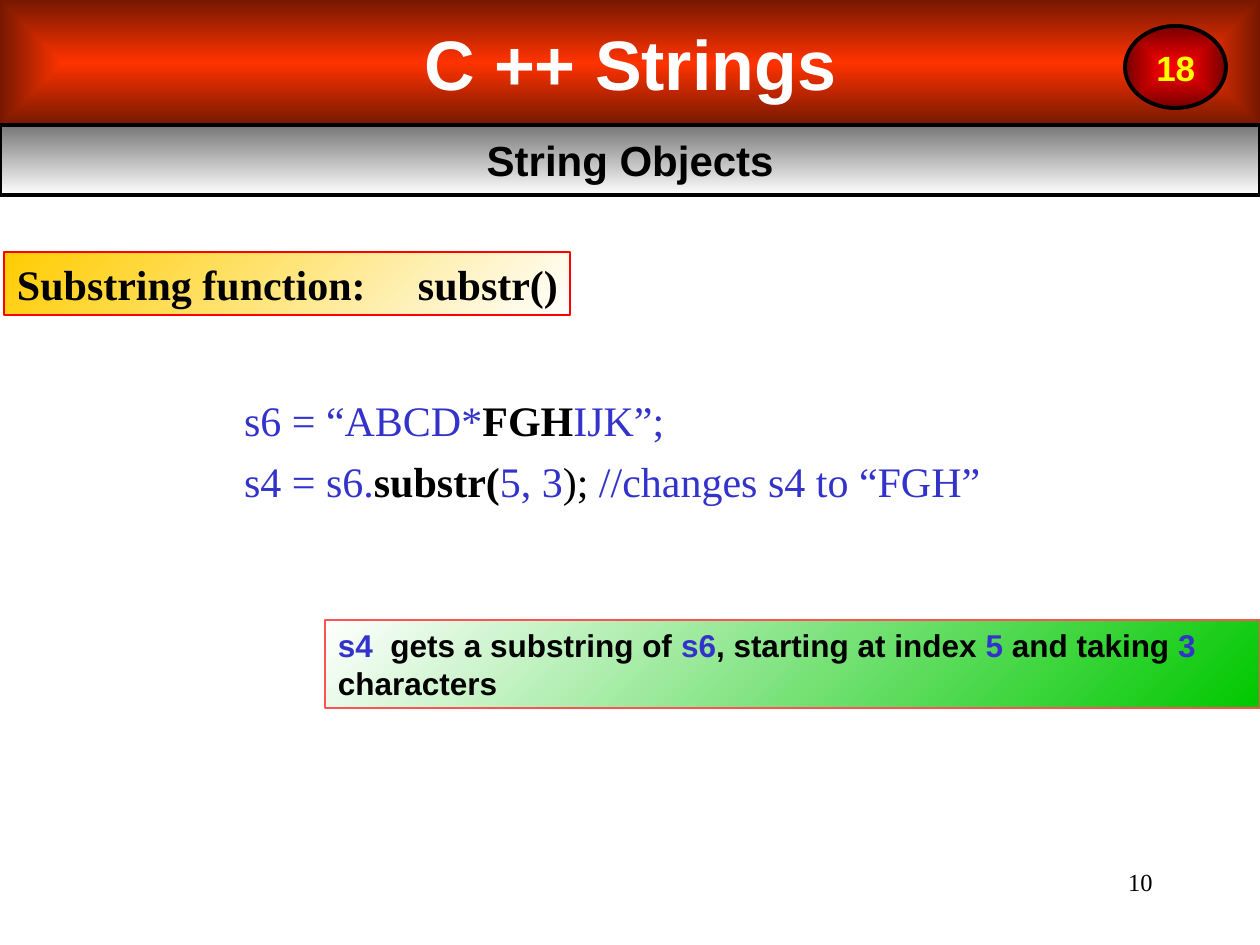
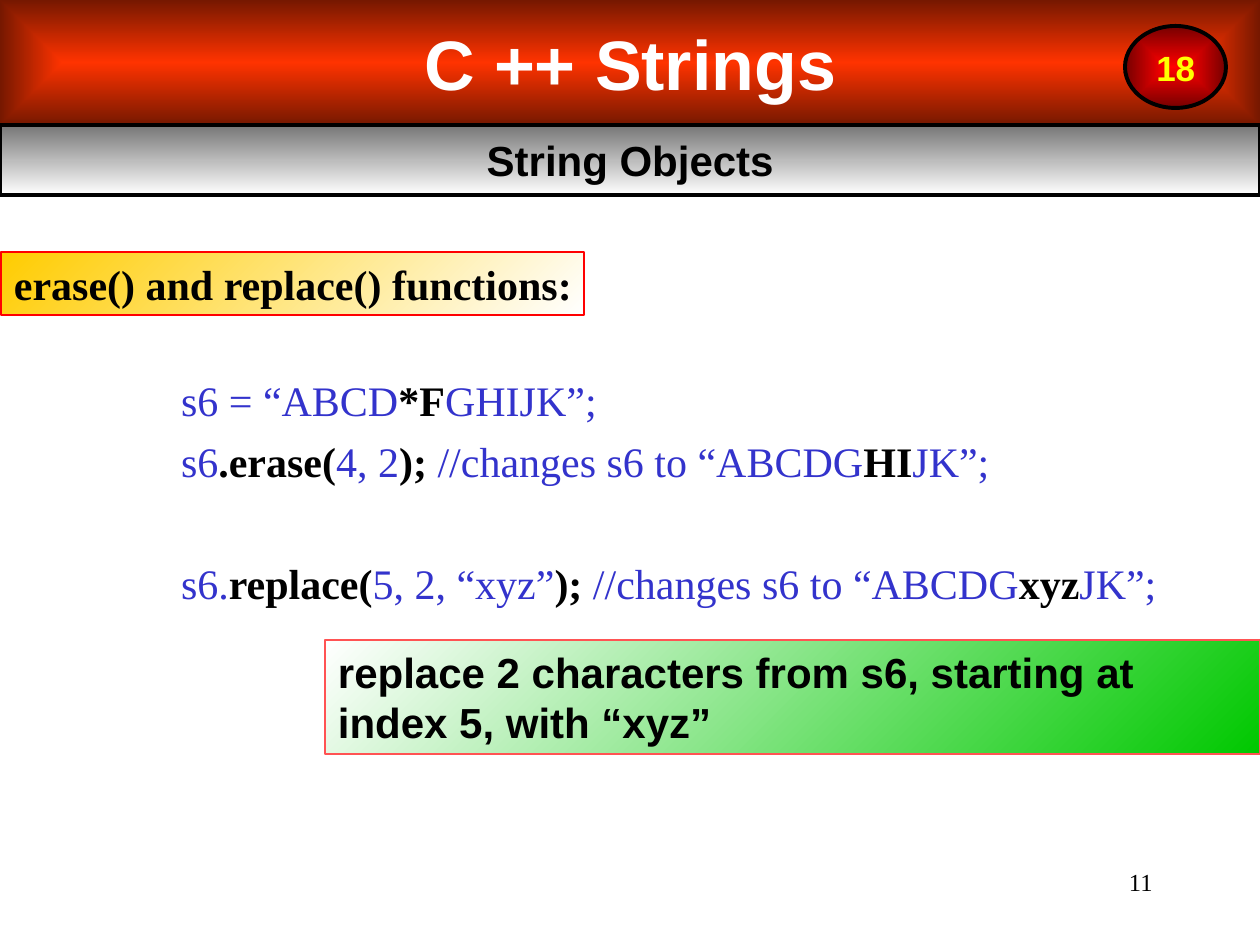
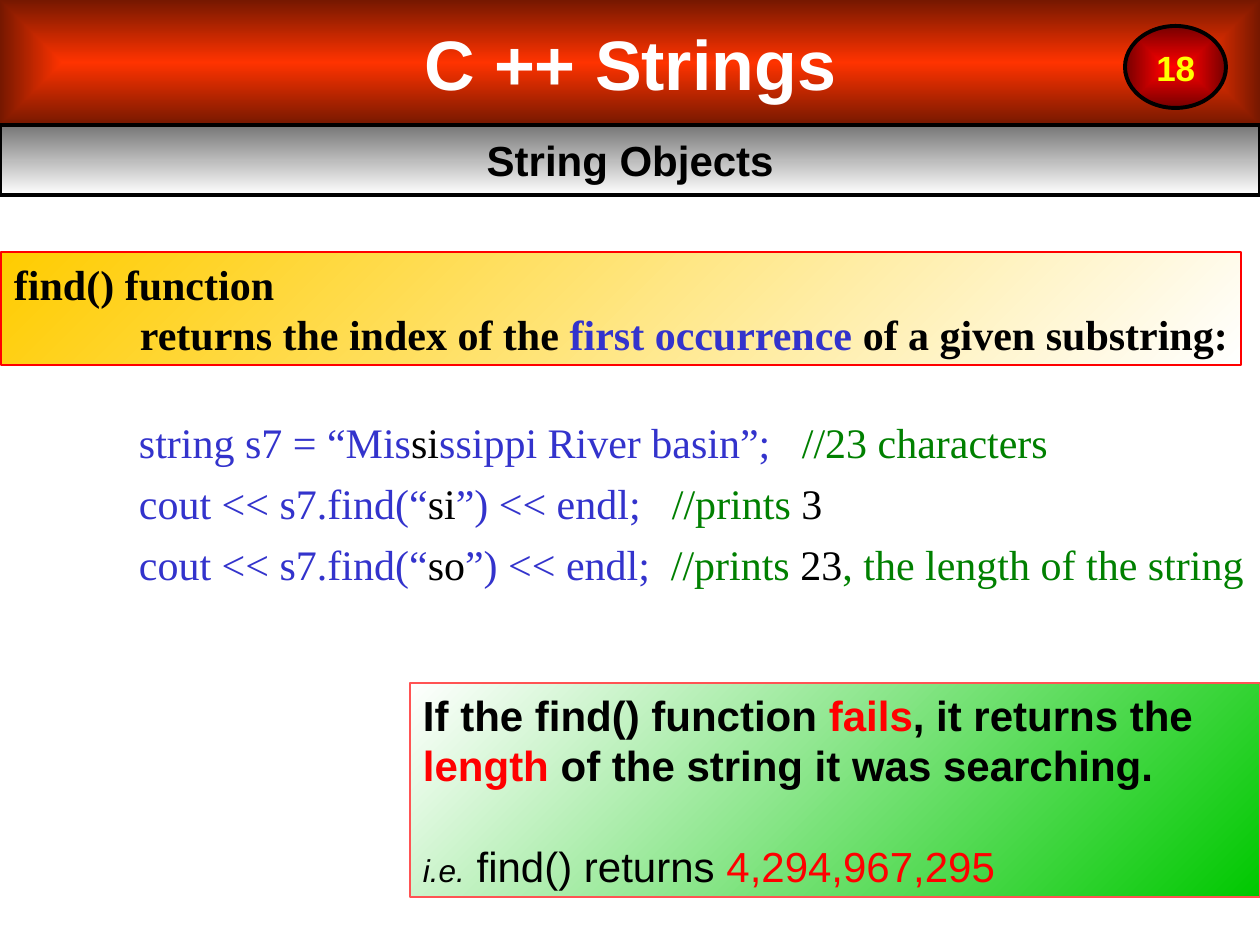
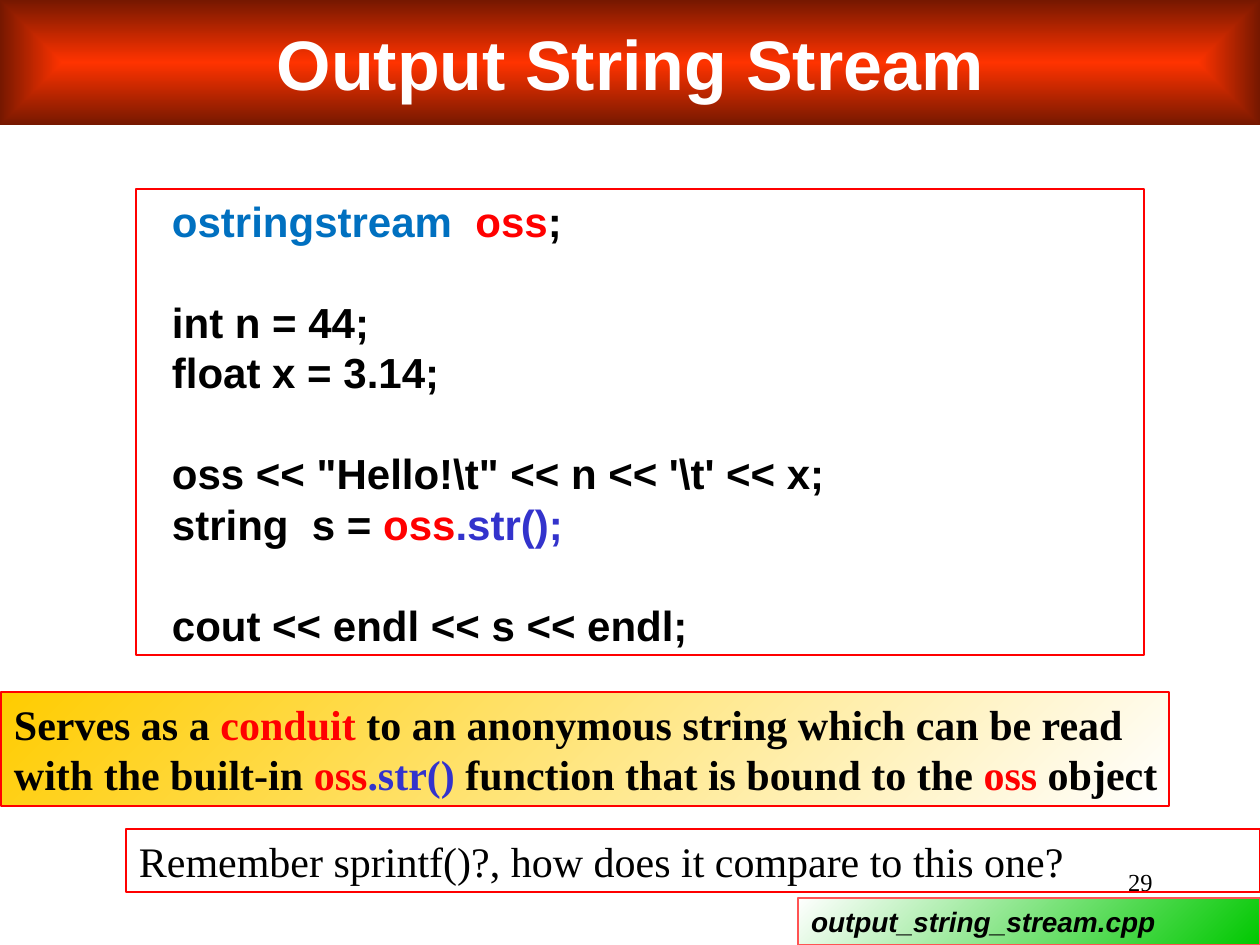
from dataclasses import asdict, dataclass, replace

from lxml import etree
from pptx import Presentation
from pptx.dml.color import RGBColor
from pptx.enum.shapes import MSO_SHAPE
from pptx.enum.text import MSO_ANCHOR, PP_ALIGN
from pptx.oxml.ns import qn
from pptx.util import Pt

RECTANGLE, OVAL = MSO_SHAPE.RECTANGLE, MSO_SHAPE.OVAL
TOP, MIDDLE = MSO_ANCHOR.TOP, MSO_ANCHOR.MIDDLE
LEFT, CENTER, RIGHT = PP_ALIGN.LEFT, PP_ALIGN.CENTER, PP_ALIGN.RIGHT

PX_PER_INCH = 126
EMU_PER_PX = 914400 / PX_PER_INCH
SLIDE_WIDTH, SLIDE_HEIGHT = 1260, 945
BANNER_HEIGHT = 125
CODE_INDENT = 139

COLORS = {
    "black": "000000",
    "white": "FFFFFF",
    "blue": "3333CC",
    "azure": "0070C0",
    "red": "FF0000",
    "coral": "FF5353",
    "yellow": "FFFF00",
    "comment": "008000",
    "banner": "FF3300",
    "banner_edge": "761800",
    "badge_edge": "760000",
    "gray": "767676",
    "gold": "FFCC00",
    "green": "00C800",
}


@dataclass(frozen=True)
class Style:
    name: str
    size: int
    color: str = "black"
    bold: bool = False
    italic: bool = False


@dataclass(frozen=True)
class Line:
    spans: tuple
    before: int = 0
    tabs: tuple = ()
    plain: bool = False


SERIF = Style("Times New Roman", 24)
SERIF_BOLD = replace(SERIF, bold=True)
CODE = replace(SERIF, color="blue")
SANS_BOLD = Style("Arial", 24, bold=True)
NOTE = replace(SANS_BOLD, size=18)
TITLE = replace(SANS_BOLD, size=40, color="white")
BADGE = replace(SANS_BOLD, size=20, color="yellow")
FILE_NAME = replace(SANS_BOLD, size=16, italic=True)
PAGE_NUMBER = replace(SERIF, size=14)


def px(length):
    return round(length * EMU_PER_PX)


def frame(left, top, width, height):
    return px(left), px(top), px(width), px(height)


def line(*spans, **options):
    return Line(spans, **options)


def black(text):
    return text, {"color": "black"}


def strong(text):
    return text, {"color": "black", "bold": True}


def blue(text):
    return text, {"color": "blue"}


def red(text):
    return text, {"color": "red"}


def comment(text):
    return text, {"color": "comment"}


def rgb(color):
    return RGBColor.from_string(COLORS[color])


def set_font(font, values):
    for key, value in values.items():
        if key == "color":
            font.color.rgb = rgb(value)
        else:
            setattr(font, key, Pt(value) if key == "size" else value)


def set_tabs(para, tabs):
    tab_list = etree.SubElement(para._p.get_or_add_pPr(), qn("a:tabLst"))
    for position in tabs:
        etree.SubElement(tab_list, qn("a:tab"), pos=str(px(position)), algn="l")


def write(box, lines, style, align=LEFT, anchor=TOP, wrap=True, indent=13):
    text = box.text_frame
    text.word_wrap = wrap
    text.vertical_anchor = anchor
    text.margin_left = px(indent)
    for index, item in enumerate(lines):
        para = text.paragraphs[0] if index == 0 else text.add_paragraph()
        para.alignment = align
        if item.before:
            para.space_before = Pt(item.before)
        if item.tabs:
            set_tabs(para, item.tabs)
        base = replace(style, bold=False) if item.plain else style
        set_font(para.font, asdict(base))
        for part in item.spans:
            words, changes = (part, {}) if isinstance(part, str) else part
            span = para.add_run()
            span.text = words
            set_font(span.font, changes)


def shade(box, start, end, angle=None):
    fill = box.fill
    fill.gradient()
    for stop, color in zip(fill.gradient_stops, (start, end)):
        stop.color.rgb = rgb(color)
    first, last = fill.gradient_stops
    first.position, last.position = 0, 1
    if angle is not None:
        fill.gradient_angle = 360 - angle
        return
    gradient = box._element.spPr.find(qn("a:gradFill"))
    gradient.remove(gradient.find(qn("a:lin")))
    shape_path = etree.SubElement(gradient, qn("a:path"), {"path": "rect"})
    center = {side: "50000" for side in "ltrb"}
    etree.SubElement(shape_path, qn("a:fillToRect"), center)


def add_box(page, place, gradient=None, outline=None, weight=0.75, kind=RECTANGLE):
    box = page.shapes.add_shape(kind, *frame(*place))
    box.shadow.inherit = False
    if gradient:
        shade(box, *gradient)
    else:
        box.fill.background()
    if outline:
        box.line.color.rgb = rgb(outline)
        box.line.width = Pt(weight)
    else:
        box.line.fill.background()
    return box


def add_banner(page, title):
    box = add_box(page, (0, 0, SLIDE_WIDTH, BANNER_HEIGHT), ("banner", "banner_edge"))
    write(box, [line(title)], TITLE, CENTER, MIDDLE)


def add_chapter_header(page):
    add_banner(page, "C ++ Strings")
    band = add_box(page, (0, BANNER_HEIGHT, SLIDE_WIDTH, 70),
                   ("gray", "white", 90), "black", 2.25)
    write(band, [line("String Objects")], SANS_BOLD, CENTER, MIDDLE)
    badge = add_box(page, (1125, 26, 101, 82), ("red", "badge_edge"),
                    "black", 2.25, OVAL)
    write(badge, [line("18")], BADGE, CENTER, MIDDLE, wrap=False)


def add_page_number(page, number):
    box = page.shapes.add_textbox(*frame(903, 861, 262, 63))
    write(box, [line(number)], PAGE_NUMBER, RIGHT)


def add_code(page, place, lines):
    box = page.shapes.add_textbox(*frame(*place))
    write(box, lines, CODE, indent=CODE_INDENT)


def add_gold_box(page, place, lines):
    box = add_box(page, place, ("gold", "white", 45), "red")
    write(box, lines, SERIF_BOLD, wrap=False)


def add_green_box(page, top, height, lines, style=SANS_BOLD, left=325):
    place = (left, top, SLIDE_WIDTH - left, height)
    box = add_box(page, place, ("white", "green", 45), "coral")
    write(box, lines, style)


def add_framed_text(page, place, lines, style, indent=13):
    write(add_box(page, place, outline="red"), lines, style, indent=indent)


def build_substring(page):
    add_page_number(page, "10")
    add_chapter_header(page)
    add_code(page, (105, 388, 1102, 175), [
        line("s6 = “ABCD*", strong("FGH"), "IJK”;", before=6),
        line("s4 = s6.", strong("substr("), "5, 3", black(");"),
             " //changes s4 to “FGH”", before=6),
    ])
    add_gold_box(page, (4, 252, 566, 63),
                 [line("Substring function:\tsubstr()", tabs=(401,))])
    add_green_box(page, 620, 88, [
        line(blue("s4 "), " gets a substring of ", blue("s6"), ", starting at index ",
             blue("5"), " and taking ", blue("3"), " characters"),
    ], NOTE)


def build_erase_replace(page):
    add_page_number(page, "11")
    add_chapter_header(page)
    add_code(page, (42, 368, 1166, 246), [
        line("s6 = “ABCD", strong("*F"), "GHIJK”;", before=6),
        line("s6", strong(".erase("), "4, 2", strong(");"),
             " //changes s6 to “ABCDG", strong("HI"), "JK”;", before=6),
        line("s6.", strong("replace("), "5, 2, “xyz”", strong(");"),
             " //changes s6 to “ABCDG", strong("xyz"), "JK”;", before=41),
    ])
    add_gold_box(page, (1, 252, 583, 63), [line("erase() and replace() functions:")])
    add_green_box(page, 640, 114, [
        line("replace 2 characters from s6, starting at index 5, with “xyz”"),
    ])


def build_find(page):
    add_chapter_header(page)
    add_code(page, (0, 410, SLIDE_WIDTH, 185), [
        line("string s7 = “Mis", black("si"), "ssippi River basin”;\t",
             comment("//23 characters"), before=6, tabs=(663,)),
        line("cout << s7.find(“", black("si"), "”) << endl;\t",
             comment("//prints "), black("3"), before=6, tabs=(533,)),
        line("cout << s7.find(“", black("so"), "”) << endl;\t",
             comment("//prints "), black("23"),
             comment(", the length of the string"), before=6, tabs=(532,)),
    ])
    add_gold_box(page, (1, 252, 1240, 113), [
        line("find() function"),
        line("\treturns the index of the ", blue("first occurrence "),
             "of a given substring:", tabs=(PX_PER_INCH,)),
    ])
    add_green_box(page, 683, 214, [
        line("If the find() function ", red("fails"), ", it returns the ",
             red("length"), " of the string it was searching."),
        line(("i.e.", {"size": 18, "italic": True}), " find() returns ",
             red("4,294,967,295"), before=29, plain=True),
    ], left=410)


def build_output_stream(page):
    add_page_number(page, "29")
    add_gold_box(page, (1, 692, 1168, 114), [
        line("Serves as a ", red("conduit"),
             " to an anonymous string which can be read"),
        line("with the built-in ", red("oss"), blue(".str() "),
             "function that is bound to the ", red("oss "), "object"),
    ])
    add_framed_text(page, (136, 189, 1008, 466), [
        line(("ostringstream  ", {"color": "azure"}), red("oss"), ";"),
        line("int n = 44;", before=29),
        line("float x = 3.14;"),
        line("oss << \"Hello!\\t\" << n << '\\t' << x;", before=29),
        line("string  s = ", red("oss"), blue(".str();")),
        line("cout << endl << s << endl;", before=29),
    ], SANS_BOLD, indent=36)
    add_banner(page, "Output String Stream")
    add_framed_text(page, (126, 829, 1134, 63), [
        line("Remember sprintf()?, how does it compare to this one?"),
    ], SERIF)
    add_green_box(page, 898, 47, [line("output_string_stream.cpp")], FILE_NAME, left=798)


def main():
    deck = Presentation()
    deck.slide_width, deck.slide_height = px(SLIDE_WIDTH), px(SLIDE_HEIGHT)
    blank = deck.slide_layouts[6]
    for build in (build_substring, build_erase_replace, build_find, build_output_stream):
        build(deck.slides.add_slide(blank))
    deck.save("out.pptx")


if __name__ == "__main__":
    main()
